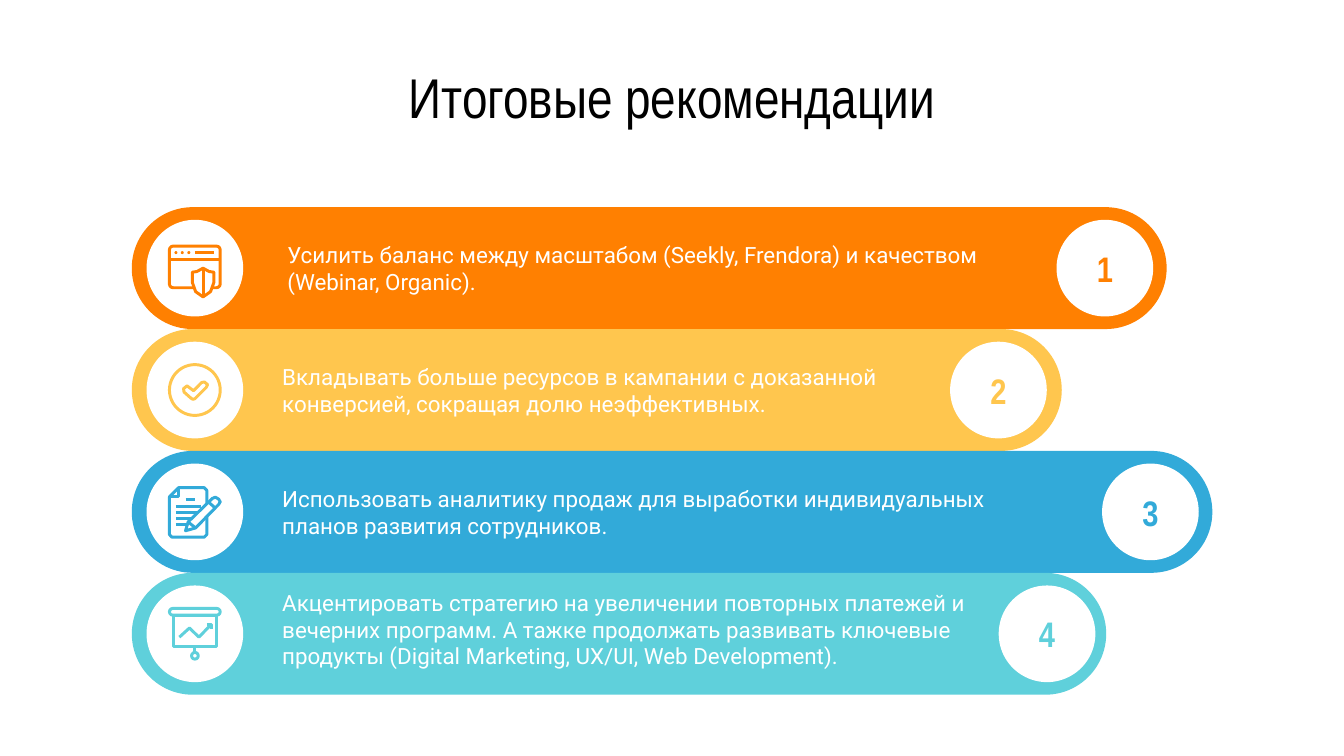
from lxml import etree
from pptx import Presentation
from pptx.dml.color import RGBColor
from pptx.enum.shapes import MSO_CONNECTOR, MSO_SHAPE
from pptx.enum.text import MSO_ANCHOR, MSO_AUTO_SIZE, PP_ALIGN
from pptx.oxml.ns import qn
from pptx.util import Pt

STRAIGHT = MSO_CONNECTOR.STRAIGHT
OVAL, ROUNDED = MSO_SHAPE.OVAL, MSO_SHAPE.ROUNDED_RECTANGLE
MIDDLE = MSO_ANCHOR.MIDDLE
LEFT, CENTER = PP_ALIGN.LEFT, PP_ALIGN.CENTER

THEME = {
    "white": "FFFFFF", "black": "000000",
    "heading_font": "Arial Narrow", "body_font": "Roboto",
    "title_size": 30, "number_size": 19, "body_size": 12, "icon_line": 1.6,
}

TITLE = "Итоговые рекомендации"

# Icon parts are measured in points from the icon's top left corner:
# box and dot are (left, top, width, height); the others are lists of points.
SECURE_WINDOW = [
    ("box", (0.8, 2.6, 27.2, 22.3)),
    ("line", [(0.8, 9.7), (28, 9.7)]),
    ("dot", (3.5, 5.3, 1.6, 1.6)),
    ("dot", (6.9, 5.3, 1.6, 1.6)),
    ("dot", (10.4, 5.3, 1.6, 1.6)),
    ("line", [(14.4, 6.1), (24.8, 6.1)]),
    ("outline", [(13, 16.6), (15.5, 16.2), (18.8, 14.4), (22, 16.2), (24.6, 16.6),
                 (24.6, 22), (22.8, 27), (18.8, 29.8), (14.8, 27), (13, 22)]),
    ("line", [(18.8, 14.4), (18.8, 29.8)]),
]
CHECK_MARK = [
    ("ring", (0.8, 0.8, 27.2, 27.2)),
    ("outline", [(8.3, 13.7), (10.2, 12.2), (13.7, 14.8), (18, 10.4), (19.5, 10.1),
                 (21.2, 11.5), (20.5, 13), (14.4, 19.1), (13.3, 19.4), (12.2, 18.7),
                 (8.6, 15.5)]),
]
DOCUMENT = [
    ("outline", [(0.8, 6.4), (5.8, 1.4), (19.4, 1.4), (20.8, 2.9), (20.8, 26.6),
                 (19.4, 28), (2.2, 28), (0.8, 26.6)]),
    ("line", [(5.8, 1.4), (5.8, 6.4), (0.8, 6.4)]),
    ("line", [(9.4, 7.9), (14.4, 7.9)]),
    ("line", [(4.3, 11.5), (17.6, 11.5)]),
    ("line", [(4.3, 14.8), (15.5, 14.8)]),
    ("line", [(4.3, 18), (12.5, 18)]),
    ("line", [(4.3, 21.2), (9.4, 21.2)]),
    ("outline", [(9.4, 24.5), (10.8, 19.8), (23.8, 7.2), (25.4, 6.5), (27.2, 7.6),
                 (28, 9), (27.2, 10.4), (14.8, 23)]),
    ("line", [(10.8, 19.8), (14.8, 23)]),
    ("line", [(22, 9.4), (25.2, 12.2)]),
]
GROWTH_BOARD = [
    ("outline", [(2.9, 4.4), (26, 4.4), (26, 21.2), (2.9, 21.2)]),
    ("box", (0.8, 0.8, 27.2, 3.6)),
    ("line", [(14.4, 21.2), (14.4, 24.3)]),
    ("ring", (12.6, 24.4, 3.6, 3.6)),
    ("line", [(6.1, 16.2), (11.5, 11.3), (16.6, 16.2), (22.8, 9.7)]),
    ("line", [(20.9, 9.4), (23.2, 9.4), (23.2, 11.9)]),
]

RECOMMENDATIONS = [
    {"text": "Усилить баланс между масштабом (Seekly, Frendora) и качеством "
             "(Webinar, Organic).",
     "color": "FF8001", "bar_width": 554.4, "number_left": 566,
     "text_left": 154, "text_width": 390, "icon": SECURE_WINDOW},
    {"text": "Вкладывать больше ресурсов в кампании с доказанной конверсией, "
             "сокращая долю неэффективных.",
     "color": "FFC64E", "bar_width": 498.2, "number_left": 509,
     "text_left": 151.2, "text_width": 365, "icon": CHECK_MARK},
    {"text": "Использовать аналитику продаж для выработки индивидуальных "
             "планов развития сотрудников.",
     "color": "32AAD9", "bar_width": 578.9, "number_left": 590.4,
     "text_left": 151.2, "text_width": 410, "icon": DOCUMENT},
    {"text": "Акцентировать стратегию на увеличении повторных платежей и вечерних "
             "программ. А тажке продолжать развивать ключевые продукты "
             "(Digital Marketing, UX/UI, Web Development).",
     "color": "5FD0DB", "bar_width": 522, "number_left": 535,
     "text_left": 151.2, "text_width": 384, "text_shift": -2.5, "icon": GROWTH_BOARD},
]

BAR_LEFT, BAR_TOP, BAR_HEIGHT = 70.6, 111, 65.3
DISC, DISC_LEFT = 51.8, 78.5
ICON, TEXT_HEIGHT = 28.8, 49


def rgb(code):
    return RGBColor.from_string(code)


def paint(shape, fill=None, line=None):
    shape.shadow.inherit = False
    if fill:
        shape.fill.solid()
        shape.fill.fore_color.rgb = rgb(fill)
    else:
        shape.fill.background()
    if line:
        shape.line.color.rgb = rgb(line)
        shape.line.width = Pt(THEME["icon_line"])
    else:
        shape.line.fill.background()


def add_preset(shapes, preset, box, fill=None, line=None):
    shape = shapes.add_shape(preset, *map(Pt, box))
    paint(shape, fill, line)
    return shape


def write(frame, text, font, size, color, align=LEFT, bold=False):
    frame.margin_left = frame.margin_right = frame.margin_top = frame.margin_bottom = 0
    frame.word_wrap = True
    frame.auto_size = MSO_AUTO_SIZE.NONE
    frame.vertical_anchor = MIDDLE
    frame.text = text
    paragraph = frame.paragraphs[0]
    paragraph.alignment = align
    style = paragraph.runs[0].font
    style.name, style.size, style.bold = font, Pt(size), bold
    style.color.rgb = rgb(color)


def add_stroke(shapes, points, color):
    (x1, y1), (x2, y2) = points
    stroke = shapes.add_connector(STRAIGHT, Pt(x1), Pt(y1), Pt(x2), Pt(y2))
    stroke.line.color.rgb = rgb(color)
    stroke.line.width = Pt(THEME["icon_line"])
    etree.SubElement(stroke._element.spPr, qn("a:effectLst"))


def add_path(shapes, points, color, closed):
    corners = [(Pt(x), Pt(y)) for x, y in points]
    builder = shapes.build_freeform(*corners[0])
    builder.add_line_segments(corners[1:], close=closed)
    paint(builder.convert_to_shape(), THEME["white"] if closed else None, color)


def draw_icon(shapes, parts, left, top, color):
    group = shapes.add_group_shape().shapes
    for kind, geometry in parts:
        if kind in ("box", "ring", "dot"):
            x, y, width, height = geometry
            box = (left + x, top + y, width, height)
            if kind == "dot":
                add_preset(group, OVAL, box, fill=color)
            elif kind == "ring":
                add_preset(group, OVAL, box, line=color)
            else:
                frame = add_preset(group, ROUNDED, box, line=color)
                frame.adjustments[0] = min(0.5, 2 / height)
        else:
            points = [(left + x, top + y) for x, y in geometry]
            if kind == "line" and len(points) == 2:
                add_stroke(group, points, color)
            else:
                add_path(group, points, color, kind == "outline")


def draw_recommendation(shapes, index, item):
    top = BAR_TOP + index * BAR_HEIGHT
    middle = top + BAR_HEIGHT / 2
    disc_top = middle - DISC / 2
    color, white = item["color"], THEME["white"]

    bar = add_preset(shapes, ROUNDED, (BAR_LEFT, top, item["bar_width"], BAR_HEIGHT), color)
    bar.adjustments[0] = 0.5
    add_preset(shapes, OVAL, (DISC_LEFT, disc_top, DISC, DISC), white)
    draw_icon(shapes, item["icon"], DISC_LEFT + (DISC - ICON) / 2, middle - ICON / 2, color)

    number = add_preset(shapes, OVAL, (item["number_left"], disc_top, DISC, DISC), white)
    write(number.text_frame, str(index + 1), THEME["heading_font"],
          THEME["number_size"], color, CENTER, bold=True)

    text_top = middle - TEXT_HEIGHT / 2 + item.get("text_shift", 0)
    advice = shapes.add_textbox(Pt(item["text_left"]), Pt(text_top),
                                Pt(item["text_width"]), Pt(TEXT_HEIGHT))
    write(advice.text_frame, item["text"], THEME["body_font"], THEME["body_size"], white)


def main():
    deck = Presentation()
    deck.slide_width, deck.slide_height = Pt(720), Pt(405)
    slide = deck.slides.add_slide(deck.slide_layouts[5])
    title = slide.shapes.title
    title.left, title.top, title.width, title.height = Pt(36), Pt(32.4), Pt(648), Pt(38.2)
    write(title.text_frame, TITLE, THEME["heading_font"], THEME["title_size"],
          THEME["black"], CENTER)
    for index, item in enumerate(RECOMMENDATIONS):
        draw_recommendation(slide.shapes, index, item)
    deck.save("out.pptx")


if __name__ == "__main__":
    main()
